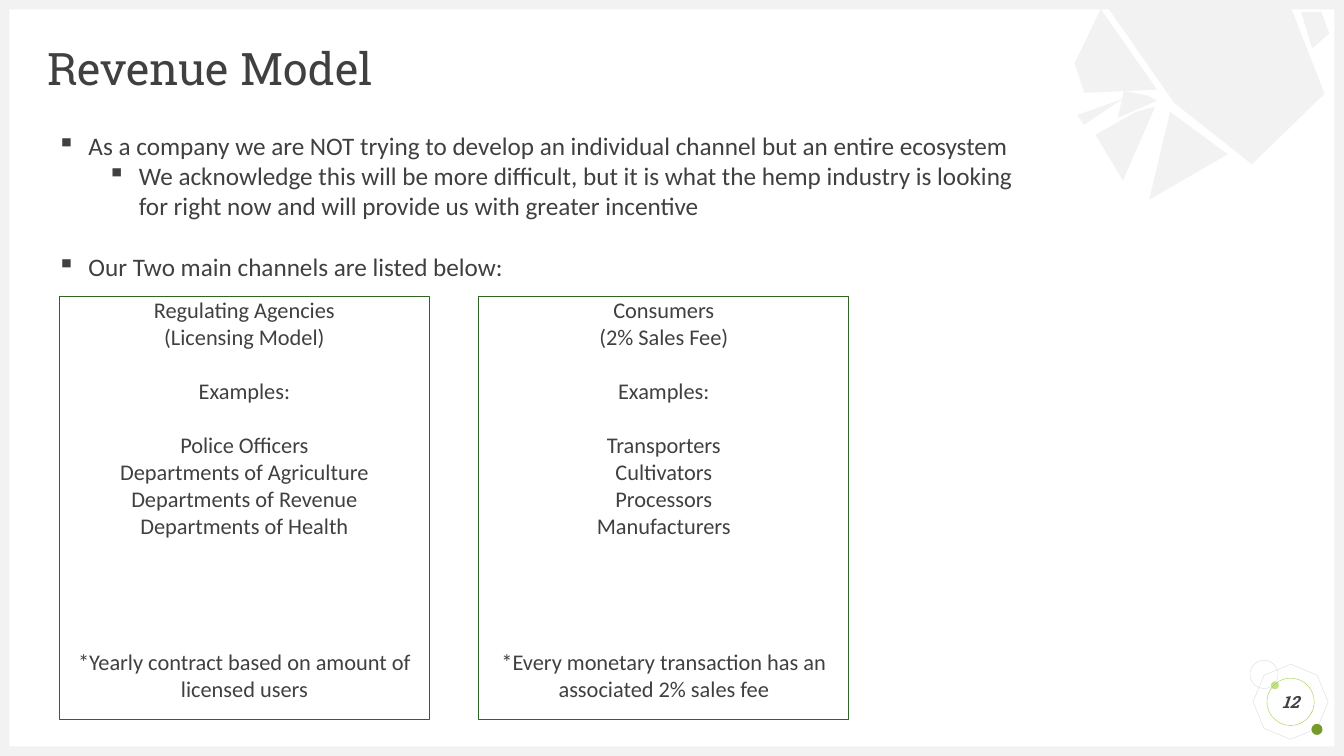
from lxml import etree
from pptx import Presentation
from pptx.dml.color import RGBColor
from pptx.enum.shapes import MSO_SHAPE as Preset
from pptx.enum.text import MSO_ANCHOR as Anchor, MSO_AUTO_SIZE as AutoSize, PP_ALIGN as Align
from pptx.oxml.ns import qn
from pptx.util import Cm, Pt

TEXT = RGBColor(0x40, 0x40, 0x40)
PALE = RGBColor(0xF2, 0xF2, 0xF2)
SILVER = RGBColor(0xD9, 0xD9, 0xD9)
LIGHT_GREEN = RGBColor(0xC2, 0xE0, 0x88)
RING_GREEN = RGBColor(0x9A, 0xCB, 0x39)
DOT_GREEN = RGBColor(0x74, 0x9A, 0x29)
CARD_GREEN = RGBColor(0x30, 0x64, 0x22)
WIDTH, HEIGHT, BORDER = 33.87, 19.05, 0.24


def paint(shape, fill=None, line=None, weight=0.25):
    shape.shadow.inherit = False
    if fill is None:
        shape.fill.background()
    else:
        shape.fill.solid()
        shape.fill.fore_color.rgb = fill
    if line is None:
        shape.line.fill.background()
    else:
        shape.line.color.rgb = line
        shape.line.width = Pt(weight)


def style_text(frame, size, font, align, anchor=Anchor.TOP, inset=0):
    """Format the frame and every run already in it."""
    frame.word_wrap = True
    frame.auto_size = AutoSize.NONE
    frame.vertical_anchor = anchor
    frame.margin_left = frame.margin_right = Cm(inset)
    frame.margin_top = frame.margin_bottom = Cm(inset / 2)
    for paragraph in frame.paragraphs:
        paragraph.alignment = align
        for run in paragraph.runs:
            run.font.size = Pt(size)
            run.font.name = font
            run.font.color.rgb = TEXT


prs = Presentation()
prs.slide_width, prs.slide_height = Cm(WIDTH), Cm(HEIGHT)
slide = prs.slides.add_slide(prs.slide_layouts[5])
shapes = slide.shapes

# Border around the slide
for left, top, width, height in (
    (0, HEIGHT - BORDER, WIDTH, BORDER),
    (0, 0, WIDTH, BORDER),
    (0, 0, BORDER, HEIGHT),
    (WIDTH - BORDER, 0, BORDER, HEIGHT),
):
    bar = shapes.add_shape(Preset.RECTANGLE, Cm(left), Cm(top), Cm(width), Cm(height))
    paint(bar, fill=PALE)

# Shards in the top right corner, points in centimetres
shards = [
    [(31.55, 4.14), (29.59, 2.59), (27.84, 0.08), (32.51, 0.13), (33.38, 2.36)],
    [(27.74, 0.23), (29.16, 2.26), (27.33, 2.34), (27.08, 1.6)],
    [(27.31, 3.15), (27.15, 2.9), (28.3, 2.49)],
    [(33.07, 1.22), (32.79, 0.3), (33.3, 0.3), (33.5, 0.84)],
    [(30.94, 3.89), (28.96, 5.03), (29.49, 2.82)],
    [(28.3, 4.55), (27.61, 3.4), (28.63, 2.82), (29.11, 2.69)],
    [(28.17, 2.97), (28.32, 2.29), (28.93, 2.41), (29.16, 2.54)],
]
for shard in shards:
    start, *corners = [(Cm(x), Cm(y)) for x, y in shard]
    outline = shapes.build_freeform(*start)
    outline.add_line_segments(corners, close=True)
    paint(outline.convert_to_shape(), fill=PALE)

# Page number badge; the last ring holds the number
for preset, left, top, size, rotation, fill, line in (
    (Preset.OCTAGON, 31.65, 16.81, 1.75, 22.7, None, SILVER),
    (Preset.OVAL, 32.03, 17.17, 0.2, 0, LIGHT_GREEN, None),
    (Preset.OVAL, 33.05, 18.24, 0.28, 0, DOT_GREEN, None),
    (Preset.OVAL, 31.5, 16.64, 0.71, 0, None, SILVER),
    (Preset.OVAL, 31.93, 17.09, 1.19, 0, None, RING_GREEN),
):
    badge = shapes.add_shape(preset, Cm(left), Cm(top), Cm(size), Cm(size))
    badge.rotation = rotation
    paint(badge, fill, line)
badge.text_frame.text = "12"
style_text(badge.text_frame, 12, "Roboto Slab", Align.CENTER, Anchor.MIDDLE)
page_font = badge.text_frame.paragraphs[0].runs[0].font
page_font.bold = page_font.italic = True

title = shapes.title
title.left, title.top, title.width, title.height = Cm(1.19), Cm(1.19), Cm(31.5), Cm(1.19)
title.text_frame.text = "Revenue Model"
style_text(title.text_frame, 32, "Roboto Slab", Align.LEFT, Anchor.MIDDLE)
title.text_frame.paragraphs[0].line_spacing = 0.9

# Strategy bullets: text, level, left margin in cm, space before in points
strategy = [
    ("As a company we are NOT trying to develop an individual channel but an entire ecosystem", 0, 0.79, 0),
    ("We acknowledge this will be more difficult, but it is what the hemp industry is looking\v"
     "for right now and will provide us with greater incentive", 1, 2.06, 0),
    ("Our Two main channels are listed below:", 0, 0.79, 22),
]
intro = shapes.add_textbox(Cm(1.19), Cm(3.15), Cm(25.76), Cm(4.88)).text_frame
for index, (point, level, margin, gap) in enumerate(strategy):
    paragraph = intro.add_paragraph() if index else intro.paragraphs[0]
    paragraph.text = point
    paragraph.level = level
    paragraph.space_before = Pt(gap)
    properties = paragraph._p.get_or_add_pPr()
    properties.set("marL", str(Cm(margin)))
    properties.set("indent", str(Cm(-0.79)))
    etree.SubElement(properties, qn("a:buChar")).set("char", "▪")
style_text(intro, 18, "Calibri", Align.LEFT, inset=0.25)

# Revenue channels: name, fee, examples, footnote
channels = [
    ("Regulating Agencies", "(Licensing Model)",
     ["Police Officers", "Departments of Agriculture", "Departments of Revenue", "Departments of Health"],
     "*Yearly contract based on amount of licensed users"),
    ("Consumers", "(2% Sales Fee)",
     ["Transporters", "Cultivators", "Processors", "Manufacturers"],
     "*Every monetary transaction has an associated 2% sales fee"),
]
LINE_HEIGHT = 19.5
for column, (name, fee, examples, footnote) in enumerate(channels):
    card = shapes.add_shape(Preset.RECTANGLE, Cm(1.5 + 10.57 * column), Cm(7.47), Cm(9.32), Cm(10.67))
    paint(card, line=CARD_GREEN, weight=0.75)
    card.text_frame.text = "\n".join([name, fee, "Examples:", *examples, footnote])
    style_text(card.text_frame, 16, "Calibri", Align.CENTER)
    lines = card.text_frame.paragraphs
    for position, blank_lines in ((2, 1), (3, 1), (-1, 4)):
        lines[position].space_before = Pt(LINE_HEIGHT * blank_lines)

prs.save("out.pptx")
